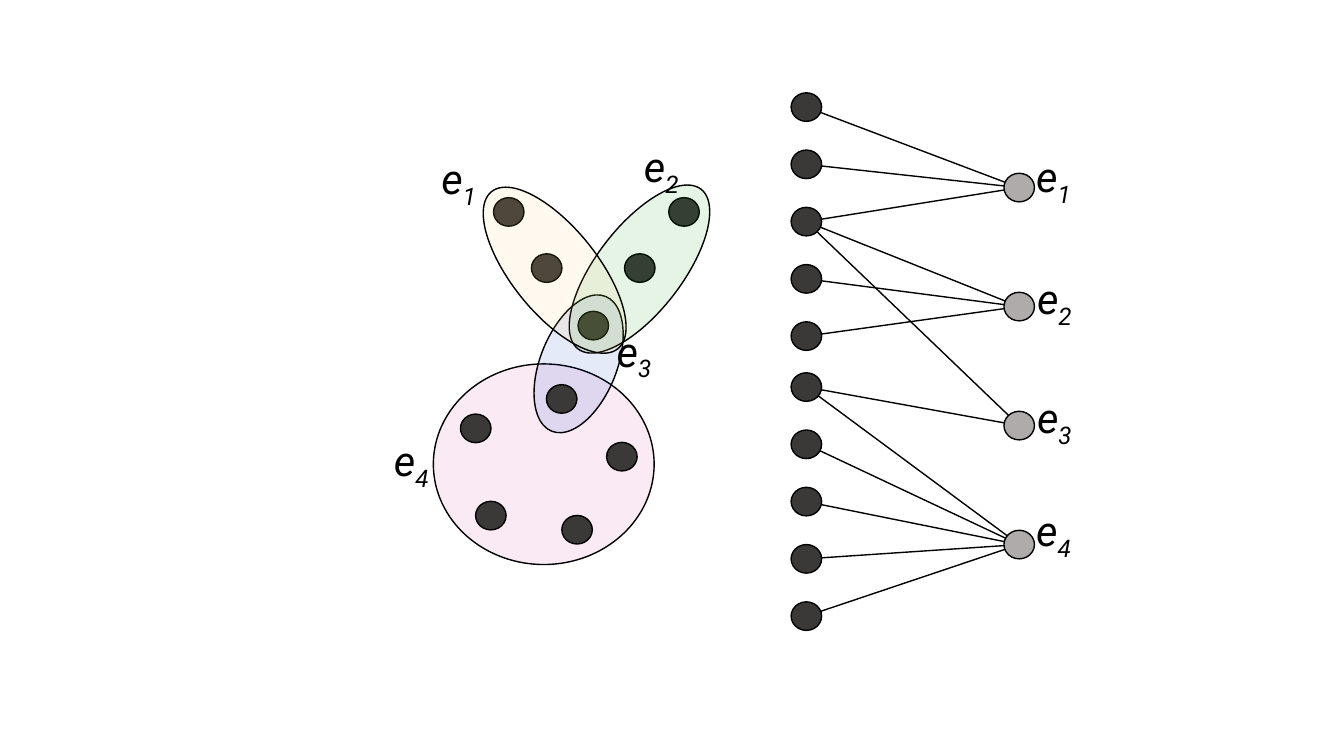
"""Draw a hypergraph beside its bipartite incidence graph."""
from dataclasses import dataclass

from lxml.etree import SubElement
from pptx import Presentation
from pptx.dml.color import RGBColor
from pptx.enum.shapes import MSO_CONNECTOR as Connector, MSO_SHAPE as Preset
from pptx.oxml.ns import qn
from pptx.util import Pt


@dataclass(frozen=True)
class Theme:
    ink: str = "000000"
    vertex: str = "3B3838"
    edge_node: str = "AFABAB"
    e1: str = "FFCC66"
    e2: str = "009900"
    e3: str = "0033CC"
    e4: str = "CC3399"
    region_opacity: int = 10
    font: str = "Roboto"
    label_size: float = 29.8
    line_width: float = 1
    node_width: float = 21.8
    node_height: float = 20.4


class Diagram:
    def __init__(self, slide, theme):
        self.shapes = slide.shapes
        self.theme = theme

    def outline(self, line):
        line.color.rgb = RGBColor.from_string(self.theme.ink)
        line.width = Pt(self.theme.line_width)

    def ellipse(self, center, width, height, color, angle=0, opacity=100):
        x, y = center
        oval = self.shapes.add_shape(Preset.OVAL, Pt(x - width / 2), Pt(y - height / 2),
                                     Pt(width), Pt(height))
        oval.rotation = angle
        oval.shadow.inherit = False
        oval.fill.solid()
        oval.fill.fore_color.rgb = RGBColor.from_string(color)
        self.outline(oval.line)
        if opacity < 100:
            fill_color = oval._element.spPr.find(qn("a:solidFill"))[0]
            SubElement(fill_color, qn("a:alpha"), val=str(opacity * 1000))

    def region(self, center, width, height, color, angle=0):
        self.ellipse(center, width, height, color, angle, self.theme.region_opacity)

    def node(self, center, color):
        self.ellipse(center, self.theme.node_width, self.theme.node_height, color)

    def link(self, start, end):
        link = self.shapes.add_connector(Connector.STRAIGHT, *map(Pt, (*start, *end)))
        self.outline(link.line)
        SubElement(link._element.spPr, qn("a:effectLst"))

    def label(self, left, top, index):
        frame = self.shapes.add_textbox(Pt(left), Pt(top), Pt(47.5), Pt(43.2)).text_frame
        frame.word_wrap = True
        paragraph = frame.paragraphs[0]
        for text, baseline in (("e", None), (str(index), "-25000")):
            run = paragraph.add_run()
            run.text = text
            run.font.name = self.theme.font
            run.font.size = Pt(self.theme.label_size)
            run.font.italic = True
            run.font.color.rgb = RGBColor.from_string(self.theme.ink)
            if baseline:
                run.font._element.set("baseline", baseline)


theme = Theme()
deck = Presentation()
deck.slide_width, deck.slide_height = Pt(960), Pt(540)
diagram = Diagram(deck.slides.add_slide(deck.slide_layouts[6]), theme)

vertices = [(576, first + 40.9 * step) for first in (76.5, 276.5) for step in range(5)]
edge_nodes = [(728, 134 + 85 * step) for step in range(4)]
incidence = [(0, 1, 2), (2, 3, 4), (2, 5), (5, 6, 7, 8, 9)]
for edge_node, members in zip(edge_nodes, incidence):
    for member in members:
        diagram.link(vertices[member], edge_node)

diagram.region((388.4, 331.6), 157.7, 143.3, theme.e4)
diagram.region((413.3, 259.9), 54.7, 103.7, theme.e3, 21.7)
set_members = [(363.4, 151.4), (390.5, 191.5), (423.8, 232.6), (457, 191.5), (488.6, 151.4),
               (401.2, 285), (339.8, 306), (444.2, 326.2), (350.6, 368.3), (412.2, 378.4)]
for member in set_members:
    diagram.node(member, theme.vertex)
diagram.region((456.8, 192.2), 61.2, 144, theme.e2, 37.6)
diagram.region((396.2, 193), 61.2, 144, theme.e1, 321.2)

for vertex in vertices:
    diagram.node(vertex, theme.vertex)
for edge_node in edge_nodes:
    diagram.node(edge_node, theme.edge_node)

set_labels = [(308.2, 105.8), (452.9, 97.2), (433.4, 229), (274.3, 307.4)]
node_labels = [(733, 104.4), (733.7, 191.5), (733.7, 276.5), (733, 357.1)]
for labels in (set_labels, node_labels):
    for index, (left, top) in enumerate(labels, 1):
        diagram.label(left, top, index)

deck.save("out.pptx")
